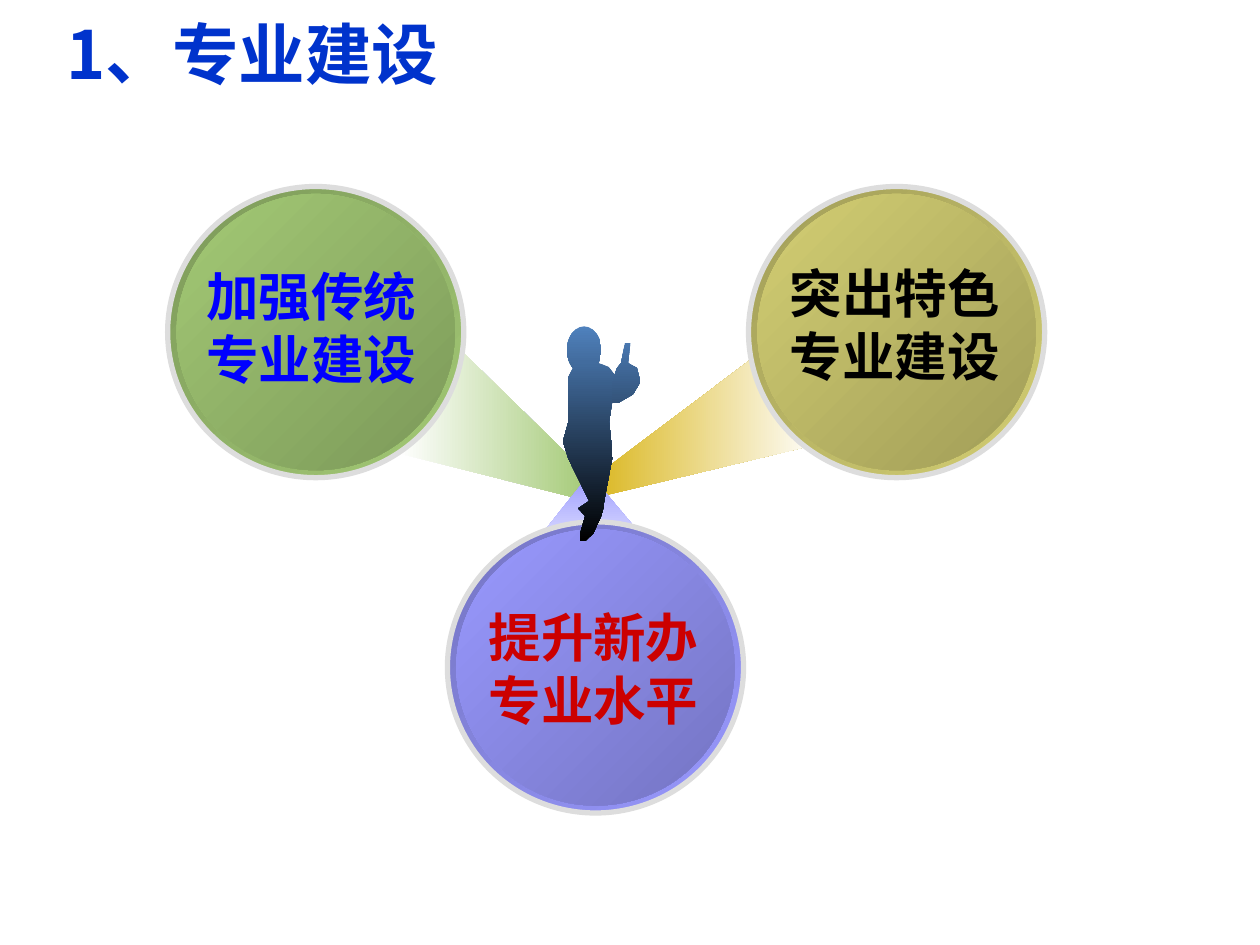
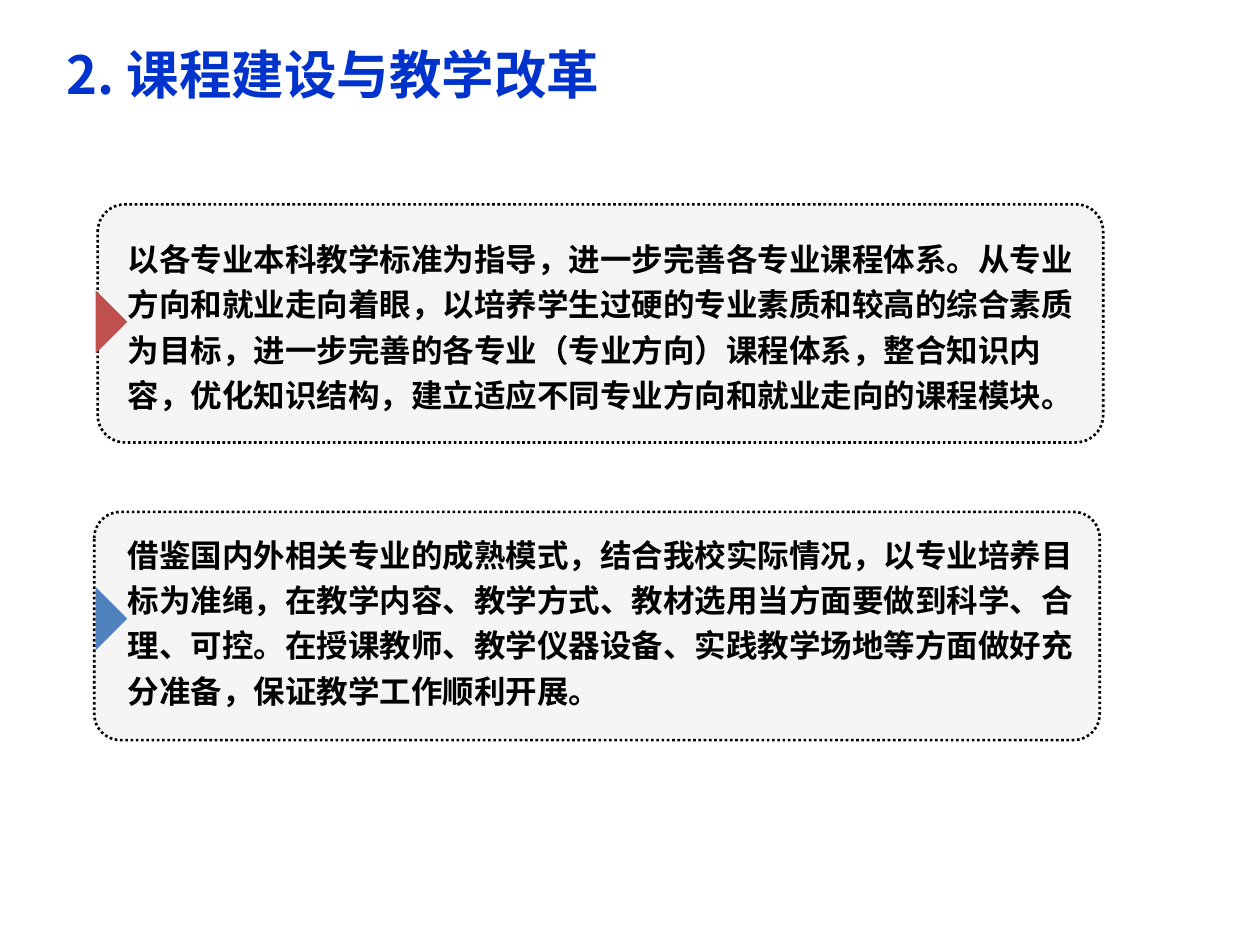
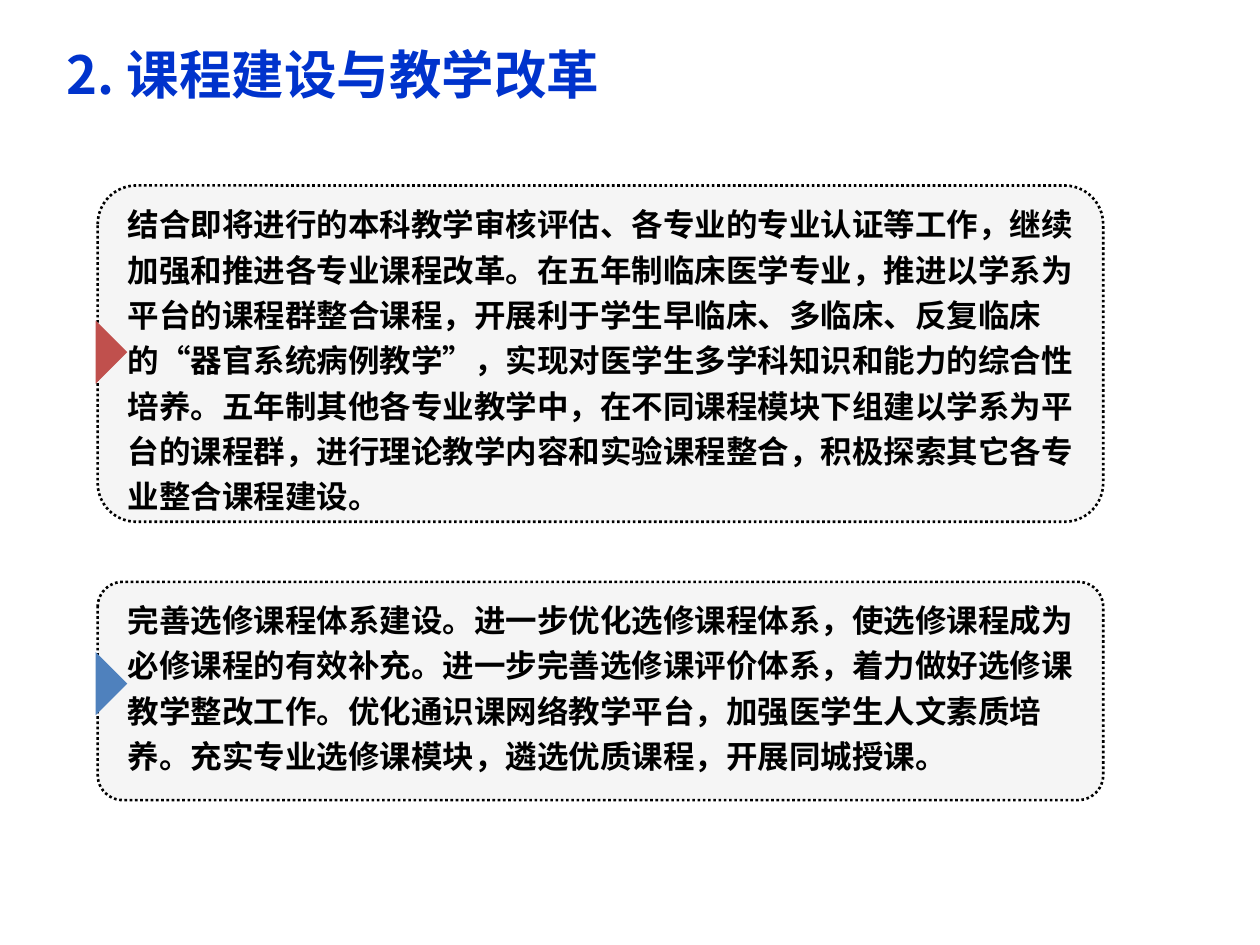
from dataclasses import dataclass

from lxml.etree import SubElement
from pptx import Presentation
from pptx.dml.color import RGBColor
from pptx.dml.fill import FillFormat
from pptx.enum.dml import MSO_LINE_DASH_STYLE as Dash
from pptx.enum.shapes import MSO_AUTO_SHAPE_TYPE as Preset
from pptx.enum.text import PP_PARAGRAPH_ALIGNMENT as Align
from pptx.oxml.ns import qn
from pptx.shapes.autoshape import Shape
from pptx.slide import Slide
from pptx.util import Cm, Pt

Point = tuple[float, float]

BLACK, WHITE = "000000", "FFFFFF"
TITLE_BLUE, LABEL_BLUE, LABEL_RED = "0033CC", "0000FF", "CC0000"
RING_GREY, PANEL_GREY = "DDDDDD", "4D4D4D"
ARROW_RED, ARROW_BLUE, FIGURE_BLUE = "C0504D", "4F81BD", "4F81BD"
GREEN, OLIVE, VIOLET, GOLD = "A3C975", "D3CE73", "9999FF", "DAB720"

DISC_WIDTH, DISC_HEIGHT = 5.97, 5.87
RIM_X, RIM_Y = 0.18, 0.15
DISC_DARKENING = 0.24
LABEL_WIDTH, LABEL_HEIGHT = 5.03, 2.79
PANEL_WIDTH = 20.27
TEXT_LEFT, TEXT_WIDTH = 2.33, 19.58
ARROW_LEFT, ARROW_SIZE = 1.48, 0.9
FIGURE_TOP, FIGURE_BOTTOM = 6.58, 10.9


@dataclass(frozen=True)
class Frame:
    """A rectangle on the page, in centimetres."""

    left: float
    top: float
    width: float
    height: float

    def lengths(self) -> tuple[Cm, Cm, Cm, Cm]:
        """Give the frame as python-pptx lengths."""
        return Cm(self.left), Cm(self.top), Cm(self.width), Cm(self.height)


@dataclass(frozen=True)
class TextStyle:
    """The look of one kind of text."""

    font: str
    size: float
    color: str = BLACK
    align: Align = Align.LEFT
    spacing: float = 1.0


@dataclass(frozen=True)
class Shading:
    """A two-colour gradient with its clockwise angle."""

    start: str
    end: str
    angle: int = 0


@dataclass(frozen=True)
class Cone:
    """A beam of light from the figure to a disc."""

    points: list[Point]
    shading: Shading


@dataclass(frozen=True)
class Slice:
    """The left and right edge of a limb at one height."""

    height: float
    left: float
    right: float


@dataclass(frozen=True)
class Disc:
    """A ringed disc with its label."""

    left: float
    top: float
    color: str
    label: str
    label_left: float
    label_top: float
    label_color: str


@dataclass(frozen=True)
class Panel:
    """A dotted panel with its text and side arrow."""

    left: float
    top: float
    height: float
    text_top: float
    arrow_top: float
    arrow_color: str
    text: str


BIG_TITLE = TextStyle("Noto Sans CJK SC", 38, TITLE_BLUE)
TITLE = TextStyle("Noto Sans CJK SC", 30, TITLE_BLUE)
BODY = TextStyle("Arial", 18, spacing=1.2)

CONES = [
    Cone([(12.22, 9.98), (11.94, 9.65), (15.39, 7.06), (16.54, 8.94)], Shading(GOLD, WHITE)),
    Cone([(11.94, 9.65), (11.58, 10.03), (8.05, 9.14), (9.37, 7.14)], Shading(WHITE, GREEN)),
    Cone([(11.89, 9.55), (13.59, 11.58), (11.89, 11), (10.24, 11.63)], Shading(VIOLET, WHITE, 90)),
]

DISCS = [
    Disc(3.38, 3.76, GREEN, "加强传统专业建设", 3.76, 5.2, LABEL_BLUE),
    Disc(15.09, 3.76, OLIVE, "突出特色专业建设", 15.52, 5.13, BLACK),
    Disc(9.02, 10.52, VIOLET, "提升新办专业水平", 9.45, 12.07, LABEL_RED),
]

HEAD = Frame(11.43, FIGURE_TOP, 0.69, 0.95)
BODY_SLICES = [
    Slice(7.3, 11.58, 12.02), Slice(7.4, 11.56, 12.27), Slice(7.6, 11.46, 12.42),
    Slice(8.5, 11.46, 12.28), Slice(8.9, 11.35, 12.32), Slice(9.25, 11.46, 12.34),
    Slice(10.1, 11.88, 12.18), Slice(10.25, 11.66, 12.16), Slice(10.4, 11.8, 12.12),
    Slice(10.75, 11.7, 11.96), Slice(FIGURE_BOTTOM, 11.7, 11.8),
]
ARM_SLICES = [
    Slice(6.91, 12.6, 12.71), Slice(7.32, 12.52, 12.66), Slice(7.42, 12.44, 12.84),
    Slice(7.7, 12.34, 12.91), Slice(7.95, 12.34, 12.76), Slice(8.13, 12.34, 12.45),
]

COURSE_PAGES = [
    [
        Panel(1.97, 4.12, 4.8, 4.56, 6.04, ARROW_RED,
              "以各专业本科教学标准为指导，进一步完善各专业课程体系。从专业方向和就业走向着眼，"
              "以培养学生过硬的专业素质和较高的综合素质为目标，进一步完善的各专业（专业方向）课程体系，"
              "整合知识内容，优化知识结构，建立适应不同专业方向和就业走向的课程模块。"),
        Panel(1.9, 10.32, 4.6, 10.52, 12.02, ARROW_BLUE,
              "借鉴国内外相关专业的成熟模式，结合我校实际情况，以专业培养目标为准绳，在教学内容、"
              "教学方式、教材选用当方面要做到科学、合理、可控。在授课教师、教学仪器设备、"
              "实践教学场地等方面做好充分准备，保证教学工作顺利开展。"),
    ],
    [
        Panel(1.97, 3.74, 6.78, 3.86, 6.65, ARROW_RED,
              "结合即将进行的本科教学审核评估、各专业的专业认证等工作，继续加强和推进各专业课程改革。"
              "在五年制临床医学专业，推进以学系为平台的课程群整合课程，开展利于学生早临床、多临床、"
              "反复临床的“器官系统病例教学”，实现对医学生多学科知识和能力的综合性培养。"
              "五年制其他各专业教学中，在不同课程模块下组建以学系为平台的课程群，"
              "进行理论教学内容和实验课程整合，积极探索其它各专业整合课程建设。"),
        Panel(1.97, 11.73, 4.4, 11.84, 13.33, ARROW_BLUE,
              "完善选修课程体系建设。进一步优化选修课程体系，使选修课程成为必修课程的有效补充。"
              "进一步完善选修课评价体系，着力做好选修课教学整改工作。优化通识课网络教学平台，"
              "加强医学生人文素质培养。充实专业选修课模块，遴选优质课程，开展同城授课。"),
    ],
]


def rgb(value: str) -> RGBColor:
    """Turn a hex string into a colour."""
    return RGBColor.from_string(value)


def mix(start: str, end: str, share: float) -> str:
    """Blend two hex colours, taking the given share of the second."""
    pairs = zip(rgb(start), rgb(end))
    return "".join(f"{round(a + (b - a) * share):02X}" for a, b in pairs)


def paint(fill: FillFormat, color: str) -> None:
    """Fill with one colour."""
    fill.solid()
    fill.fore_color.rgb = rgb(color)


def shade(shape: Shape, shading: Shading) -> None:
    """Fill a shape with a two-colour gradient."""
    shape.fill.gradient()
    shape.fill.gradient_angle = -shading.angle % 360
    first, last = shape.fill.gradient_stops
    first.position, last.position = 0, 1
    first.color.rgb, last.color.rgb = rgb(shading.start), rgb(shading.end)


def make_plain(shape: Shape) -> Shape:
    """Take shadow and line off a new shape."""
    shape.shadow.inherit = False
    shape.line.fill.background()
    return shape


def add_preset(page: Slide, preset: Preset, frame: Frame) -> Shape:
    """Add a plain preset shape."""
    return make_plain(page.shapes.add_shape(preset, *frame.lengths()))


def add_outline(page: Slide, points: list[Point], shading: Shading) -> None:
    """Add a closed outline with a gradient."""
    first, *rest = [(round(x * 100), round(y * 100)) for x, y in points]
    builder = page.shapes.build_freeform(*first, scale=Cm(0.01))
    builder.add_line_segments(rest, close=True)
    shade(make_plain(builder.convert_to_shape()), shading)


def add_text(page: Slide, frame: Frame, text: str, style: TextStyle) -> None:
    """Add a wrapped text box with one bold run."""
    box = page.shapes.add_textbox(*frame.lengths())
    box.text_frame.word_wrap = True
    para = box.text_frame.paragraphs[0]
    para.alignment = style.align
    para.line_spacing = style.spacing
    para._p.get_or_add_pPr().set("hangingPunct", "0")
    span = para.add_run()
    span.text = text
    span.font.name = style.font
    span.font.size = Pt(style.size)
    span.font.bold = True
    span.font.color.rgb = rgb(style.color)


def add_disc(page: Slide, disc: Disc) -> None:
    """Add the rim, the face and the label of a disc."""
    dark = mix(disc.color, BLACK, DISC_DARKENING)
    rim = add_preset(page, Preset.OVAL, Frame(disc.left, disc.top, DISC_WIDTH, DISC_HEIGHT))
    shade(rim, Shading(dark, disc.color, 45))
    paint(rim.line.fill, RING_GREY)
    rim.line.width = Pt(3)
    face_frame = Frame(disc.left + RIM_X, disc.top + RIM_Y, DISC_WIDTH - 2 * RIM_X, DISC_HEIGHT - 2 * RIM_Y)
    shade(add_preset(page, Preset.OVAL, face_frame), Shading(disc.color, dark, 45))
    label_frame = Frame(disc.label_left, disc.label_top, LABEL_WIDTH, LABEL_HEIGHT)
    style = TextStyle("Times New Roman", 30, disc.label_color, Align.CENTER)
    add_text(page, label_frame, disc.label, style)


def figure_shading(top: float, bottom: float) -> Shading:
    """Give the part of the figure's gradient between two heights."""
    start, end = [
        mix(FIGURE_BLUE, BLACK, (height - FIGURE_TOP) / (FIGURE_BOTTOM - FIGURE_TOP))
        for height in (top, bottom)
    ]
    return Shading(start, end, 90)


def add_limb(page: Slide, slices: list[Slice]) -> None:
    """Join slices down the left edge and up the right one."""
    down = [(cut.left, cut.height) for cut in slices]
    up = [(cut.right, cut.height) for cut in reversed(slices)]
    add_outline(page, down + up, figure_shading(slices[0].height, slices[-1].height))


def add_figure(page: Slide) -> None:
    """Add the standing figure with its raised thumb."""
    head = add_preset(page, Preset.OVAL, HEAD)
    shade(head, figure_shading(HEAD.top, HEAD.top + HEAD.height))
    for slices in (BODY_SLICES, ARM_SLICES):
        add_limb(page, slices)


def add_panel(page: Slide, panel: Panel) -> None:
    """Add a dotted panel, its text and its arrow."""
    card_frame = Frame(panel.left, panel.top, PANEL_WIDTH, panel.height)
    card = add_preset(page, Preset.ROUNDED_RECTANGLE, card_frame)
    card.adjustments[0] = 0.115
    paint(card.fill, PANEL_GREY)
    tint = card.fill._xPr.find(qn("a:solidFill"))[0]
    SubElement(tint, qn("a:alpha"), val="5000")
    paint(card.line.fill, BLACK)
    card.line.width = Pt(1.5)
    card.line.dash_style = Dash.ROUND_DOT
    add_text(page, Frame(TEXT_LEFT, panel.text_top, TEXT_WIDTH, panel.height), panel.text, BODY)
    arrow_frame = Frame(ARROW_LEFT, panel.arrow_top, ARROW_SIZE, ARROW_SIZE)
    arrow = add_preset(page, Preset.RIGHT_TRIANGLE, arrow_frame)
    arrow.rotation = 225
    paint(arrow.fill, panel.arrow_color)


def build_majors(page: Slide) -> None:
    """Draw the three directions around the figure."""
    for cone in CONES:
        add_outline(page, cone.points, cone.shading)
    for disc in DISCS:
        add_disc(page, disc)
    add_figure(page)
    add_text(page, Frame(1.09, 0.13, 11.4, 1.88), "1、专业建设", BIG_TITLE)


def build_courses(page: Slide, panels: list[Panel]) -> None:
    """Draw a course page with its panels."""
    add_text(page, Frame(1.1, 0.72, 13.41, 1.52), "2. 课程建设与教学改革", TITLE)
    for panel in panels:
        add_panel(page, panel)


def main() -> None:
    """Build and save the deck."""
    deck = Presentation()
    deck.slide_width, deck.slide_height = Cm(25.4), Cm(19.05)
    blank = deck.slide_layouts[6]
    build_majors(deck.slides.add_slide(blank))
    for panels in COURSE_PAGES:
        build_courses(deck.slides.add_slide(blank), panels)
    deck.save("out.pptx")


if __name__ == "__main__":
    main()
